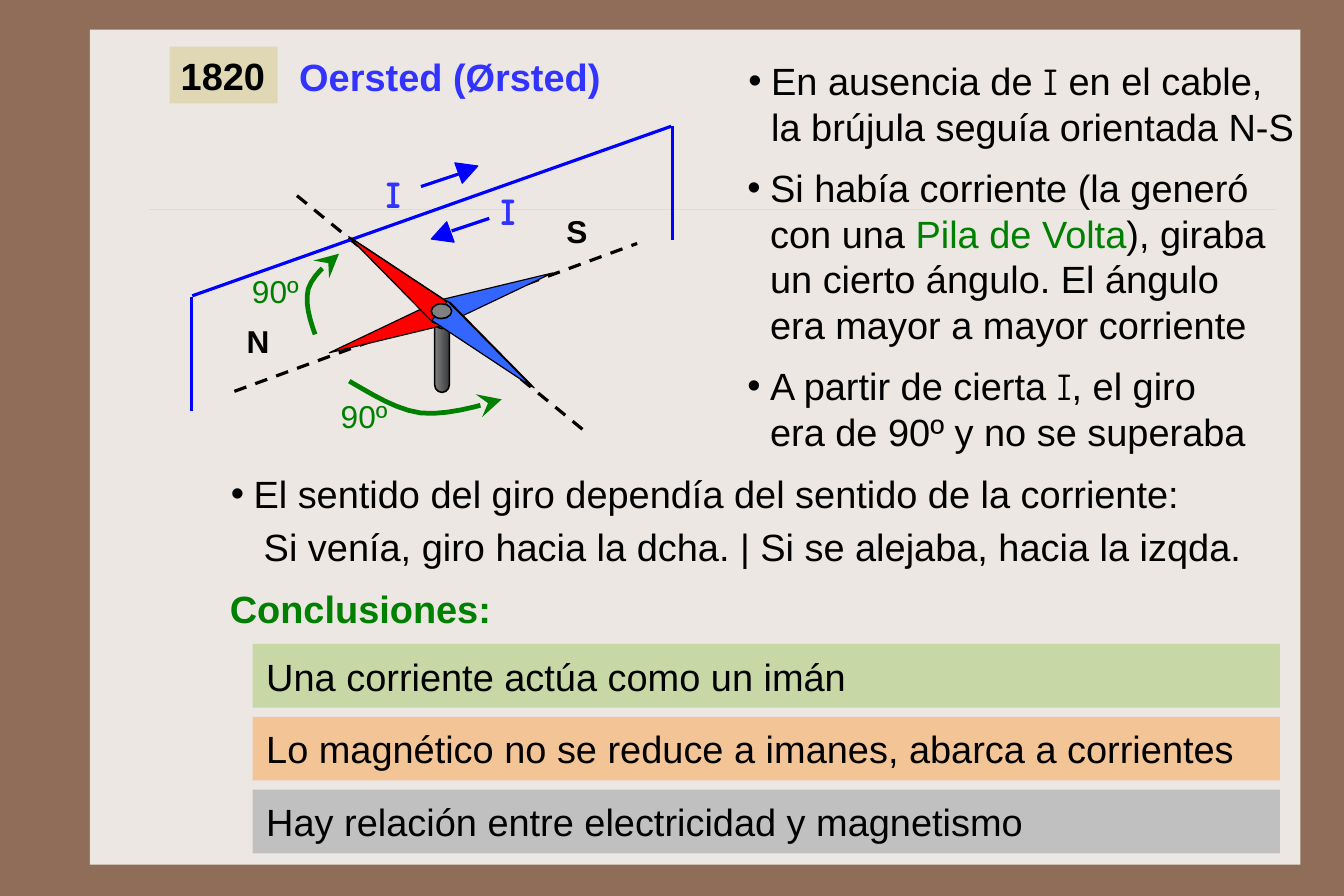
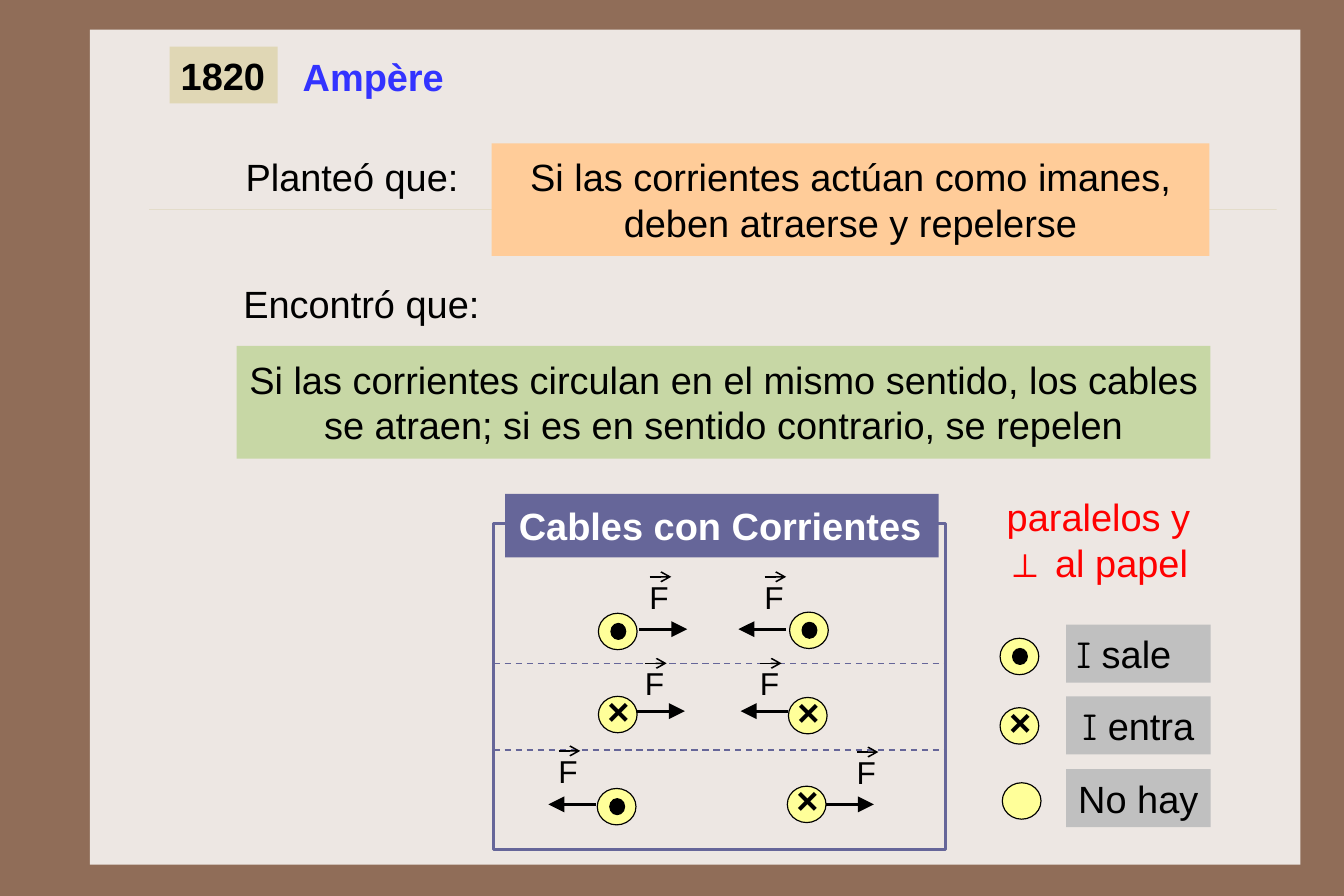
"""Build two slides on the 1820 experiments of Oersted and Ampère."""
import pptx
import pptx.util
import pptx.dml.color
import pptx.enum.dml
import pptx.enum.shapes
import pptx.enum.text
import pptx.oxml.ns
from lxml import etree

Inches = pptx.util.Inches
Pt = pptx.util.Pt
SHAPE = pptx.enum.shapes.MSO_SHAPE
ALIGN = pptx.enum.text.PP_ALIGN
ANCHOR = pptx.enum.text.MSO_ANCHOR

BROWN, PANEL, RULE, BADGE = "906D58", "EDE7E3", "CBBD83", "E0D7B5"
BLACK, WHITE, GRAY, SILVER = "000000", "FFFFFF", "808080", "C0C0C0"
TITLE, WIRE, GREEN, RED, BLUE = "3333FF", "0000FF", "008000", "FF0000", "3366FF"
LIME, ORANGE, PEACH, SLATE, YELLOW = "C7D7A5", "F3C495", "FFCC99", "666699", "FFFF99"
TEXT_FONT, CURRENT_FONT = "Arial", "Comic Neue"
CURRENT = ("I", CURRENT_FONT, None)
NORMAL, ROOMY, PADDED, SNUG = (0.1, 0.05), (0.1, 0.09), (0.12, 0.08), (0.09, 0.09)

OBSERVATIONS = [
    (6.48, 0.42, 5.11, 0.99, [["En ausencia de ", CURRENT, " en el cable,"],
                              ["la brújula seguía orientada N-S"]]),
    (6.47, 1.36, 4.91, 1.8, [["Si había corriente (la generó"],
                             ["con una ", ("Pila de Volta", TEXT_FONT, GREEN), "), giraba"],
                             ["un cierto ángulo. El ángulo"],
                             ["era mayor a mayor corriente"]]),
    (6.47, 3.1, 4.91, 0.99, [["A partir de cierta ", CURRENT, ", el giro"],
                             ["era de 90º y no se superaba"]]),
    (1.93, 4.05, 8.75, 0.59, [["El sentido del giro dependía del sentido de la corriente:"]]),
]
CONCLUSIONS = [
    ("Una corriente actúa como un imán", LIME),
    ("Lo magnético no se reduce a imanes, abarca a corrientes", ORANGE),
    ("Hay relación entre electricidad y magnetismo", SILVER),
]
COMPASS_AXES = [(2.61, 1.72, 5.14, 3.79), (2.06, 3.44, 5.6, 2.14)]
WIRES = [(1.69, 2.6, 5.9, 1.11), (1.68, 2.61, 1.68, 3.61), (5.91, 1.11, 5.91, 2.11)]
NEEDLES = [
    (3.28, 2.4, 250.5, RED), (4.25, 2.05, 70.5, BLUE),
    (4.18, 2.55, 129.5, RED), (3.38, 1.9, 309.5, BLUE),
    (3.36, 1.89, 309.5, RED), (4.16, 2.54, 129.5, BLUE),
]
POLES = [("N", 2.07, 2.78), ("S", 4.88, 1.81)]
CURRENT_ARROWS = [
    (3.29, 1.45, (4.02, 1.4, 70), (4.03, 1.53, 3.7, 1.64)),
    (4.3, 1.6, (3.78, 1.98, 250), (4.3, 1.92, 3.97, 2.03)),
]
TURNS = [
    (2.89, 3.55, [(3.07, 3.35), (3.28, 3.47), (3.48, 3.6), (3.7, 3.63),
                  (3.92, 3.65), (4.17, 3.58), (4.41, 3.51)]),
    (2.11, 2.45, [(2.77, 2.94), (2.72, 2.8), (2.68, 2.66), (2.71, 2.54),
                  (2.75, 2.42), (2.86, 2.33), (2.98, 2.23)]),
]

STATEMENTS = [
    ("Planteó que:", 2.06, 1.26, 2.15, 0.59, None),
    ("Si las corrientes actúan como imanes, deben atraerse y repelerse",
     4.32, 1.26, 6.31, 0.99, PEACH),
    ("Encontró que:", 2.04, 2.38, 2.28, 0.59, None),
    ("Si las corrientes circulan en el mismo sentido, los cables se atraen; "
     "si es en sentido contrario, se repelen", 2.08, 3.04, 8.56, 0.99, LIME),
]
CABLES = [
    ("dot", 5.26, 5.39, 5.62, 5.53, 1, 5.71, 5.07),
    ("dot", 6.94, 5.38, 6.91, 5.53, -1, 6.72, 5.07),
    ("cross", 5.26, 6.12, 5.6, 6.25, 1, 5.67, 5.83),
    ("cross", 6.93, 6.13, 6.93, 6.25, -1, 6.68, 5.83),
    ("dot", 5.25, 6.93, 5.24, 7.07, -1, 4.91, 6.6),
    ("cross", 6.92, 6.91, 7.26, 7.07, 1, 7.53, 6.61),
]
LEGEND = [
    ("dot", 8.79, 5.61, 5.49, [CURRENT, " sale"], ALIGN.LEFT),
    ("cross", 8.79, 6.22, 6.12, [CURRENT, " entra"], ALIGN.CENTER),
    ("empty", 8.81, 6.88, 6.76, ["No hay"], ALIGN.CENTER),
]


def color(value):
    return pptx.dml.color.RGBColor.from_string(value)


def add_element(parent, tag, **attributes):
    return etree.SubElement(parent, pptx.oxml.ns.qn(tag), **attributes)


def paint(shape, fill=None, line=None, width=0.75):
    if fill:
        shape.fill.solid()
        shape.fill.fore_color.rgb = color(fill)
    else:
        shape.fill.background()
    if line:
        shape.line.color.rgb = color(line)
        shape.line.width = Pt(width)
    else:
        shape.line.fill.background()


def add_figure(page, kind, x, y, w, h, fill=None, line=None, width=0.75, turn=0):
    figure = page.shapes.add_shape(kind, Inches(x), Inches(y), Inches(w), Inches(h))
    figure.shadow.inherit = False
    figure.rotation = turn
    paint(figure, fill, line, width)
    return figure


def add_head(line, head, size):
    add_element(line._get_or_add_ln(), "a:tailEnd", type=head, w=size, len=size)


def add_line(page, ends, tint, width, dashed=False, head=None, size="med"):
    connector = page.shapes.add_connector(
        pptx.enum.shapes.MSO_CONNECTOR.STRAIGHT, *[Inches(value) for value in ends])
    connector.line.color.rgb = color(tint)
    connector.line.width = Pt(width)
    if dashed:
        connector.line.dash_style = pptx.enum.dml.MSO_LINE.DASH
    if head:
        add_head(connector.line, head, size)
    add_element(connector.element.spPr, "a:effectLst")
    return connector


def set_font(font, size, tint, bold):
    font.name, font.size, font.bold = TEXT_FONT, Pt(size), bold
    font.color.rgb = color(tint)


def add_spans(para, spans):
    for span in spans:
        words, name, tint = span if isinstance(span, tuple) else (span, None, None)
        run = para.add_run()
        run.text = words
        if name:
            run.font.name = name
        if tint:
            run.font.color.rgb = color(tint)


def add_text(page, lines, x, y, w, h, size=24, tint=BLACK, bold=False, fill=None,
             align=ALIGN.LEFT, anchor=ANCHOR.TOP, insets=NORMAL, wrap=False,
             bullet=False, spacing=None):
    box = page.shapes.add_textbox(Inches(x), Inches(y), Inches(w), Inches(h))
    paint(box, fill)
    frame = box.text_frame
    frame.word_wrap, frame.vertical_anchor = wrap, anchor
    frame.margin_left = frame.margin_right = Inches(insets[0])
    frame.margin_top = frame.margin_bottom = Inches(insets[1])
    para = frame.paragraphs[0]
    para.alignment = align
    if spacing:
        para.line_spacing = Pt(spacing)
    if bullet:
        properties = para._p.get_or_add_pPr()
        properties.set("marL", str(Inches(0.2)))
        properties.set("indent", str(-Inches(0.2)))
        add_element(properties, "a:buFont", typeface=TEXT_FONT)
        add_element(properties, "a:buChar", char="•")
    set_font(para.font, size, tint, bold)
    for number, spans in enumerate(lines):
        if number:
            para.add_line_break()
        add_spans(para, spans)
    return box


def add_curve(page, points, tint, width, steps=6):
    path_points = [points[0]]
    for first in range(0, len(points) - 1, 3):
        a, b, c, d = points[first:first + 4]
        for step in range(1, steps + 1):
            t = step / steps
            u = 1 - t
            path_points.append(tuple(
                u ** 3 * a[i] + 3 * u * u * t * b[i] + 3 * u * t * t * c[i] + t ** 3 * d[i]
                for i in (0, 1)))
    corners = [(Inches(x), Inches(y)) for x, y in path_points]
    builder = page.shapes.build_freeform(*corners[0])
    builder.add_line_segments(corners[1:], close=False)
    curve = builder.convert_to_shape()
    curve.shadow.inherit = False
    paint(curve, None, tint, width)
    add_head(curve.line, "stealth", "lg")


def add_symbol(page, kind, x, y):
    add_figure(page, SHAPE.OVAL, x, y, 0.34, 0.32, YELLOW, BLACK)
    if kind == "dot":
        add_figure(page, SHAPE.OVAL, x + 0.11, y + 0.09, 0.13, 0.14, BLACK, BLACK)
    elif kind == "cross":
        add_text(page, [["×"]], x - 0.02, y - 0.13, 0.38, 0.5, bold=True)


def style_layout(layout, page):
    layout.background.fill.solid()
    layout.background.fill.fore_color.rgb = color(BROWN)
    panel = add_figure(page, SHAPE.RECTANGLE, 0.79, 0.26, 10.64, 7.34, PANEL)
    rule = add_line(page, (1.31, 1.84, 11.22, 1.84), RULE, 0.25)
    tint = rule.element.spPr.find(".//" + pptx.oxml.ns.qn("a:srgbClr"))
    add_element(tint, "a:alpha", val="40000")
    for position, part in enumerate((panel, rule), 2):
        layout.shapes.element.insert(position, part.element)


def add_heading(page, name, x, w):
    title = page.shapes.title
    title.left, title.top, title.width, title.height = [
        Inches(value) for value in (x, 0.42, w, 0.5)]
    frame = title.text_frame
    frame.text = name
    frame.auto_size = pptx.enum.text.MSO_AUTO_SIZE.NONE
    frame.word_wrap, frame.vertical_anchor = False, ANCHOR.TOP
    para = frame.paragraphs[0]
    para.alignment = ALIGN.LEFT
    set_font(para.font, 24, TITLE, True)
    add_text(page, [["1820"]], 1.49, 0.41, 0.95, 0.5, bold=True, fill=BADGE)


def draw_compass(page):
    post = add_figure(page, SHAPE.CAN, 3.82, 2.75, 0.13, 0.7, GRAY, BLACK, 1)
    post.adjustments[0] = 1.067
    post.fill.gradient()
    post.fill.gradient_angle = 0
    for stop, tint in zip(post.fill.gradient_stops, (GRAY, "3B3B3B")):
        stop.color.rgb = color(tint)
    for ends in COMPASS_AXES:
        add_line(page, ends, BLACK, 2, dashed=True)
    for ends in WIRES:
        add_line(page, ends, WIRE, 2)
    for x, y, turn, tint in NEEDLES:
        add_figure(page, SHAPE.ISOSCELES_TRIANGLE, x, y, 0.22, 1.05, tint, BLACK, turn=turn)
    add_figure(page, SHAPE.OVAL, 3.79, 2.67, 0.18, 0.13, GRAY, BLACK, 1)
    for pole, x, y in POLES:
        add_text(page, [[pole]], x, y, 0.4, 0.43, size=20, bold=True)
    for x, y, (tip_x, tip_y, turn), ends in CURRENT_ARROWS:
        add_text(page, [[CURRENT]], x, y, 0.38, 0.5, tint=TITLE, bold=True)
        add_figure(page, SHAPE.ISOSCELES_TRIANGLE, tip_x, tip_y, 0.19, 0.18, WIRE, WIRE,
                   turn=turn)
        add_line(page, ends, WIRE, 2)
    for x, y, points in TURNS:
        add_curve(page, points, GREEN, 3)
        add_text(page, [["90º"]], x, y, 0.62, 0.33, size=20, tint=GREEN,
                 align=ALIGN.CENTER, spacing=16)


def fill_oersted(page):
    add_heading(page, "Oersted (Ørsted)", 2.53, 2.88)
    draw_compass(page)
    for x, y, w, h, lines in OBSERVATIONS:
        add_text(page, lines, x, y, w, h, insets=ROOMY, wrap=True, bullet=True)
    add_text(page, [["Si venía, giro hacia la dcha. | Si se alejaba, hacia la izqda."]],
             2.22, 4.51, 9.03, 0.59, insets=ROOMY, wrap=True)
    add_text(page, [["Conclusiones:"]], 1.9, 5.07, 2.57, 0.56, tint=GREEN, bold=True,
             anchor=ANCHOR.MIDDLE, insets=PADDED, wrap=True)
    for row, (words, fill) in enumerate(CONCLUSIONS):
        add_text(page, [[words]], 2.22, 5.66 + 0.64 * row, 9.03, 0.56, fill=fill,
                 anchor=ANCHOR.MIDDLE, insets=PADDED, wrap=True)


def fill_ampere(page):
    add_heading(page, "Ampère", 2.56, 1.46)
    for words, x, y, w, h, fill in STATEMENTS:
        add_text(page, [[words]], x, y, w, h, fill=fill, insets=ROOMY, wrap=True,
                 align=ALIGN.CENTER if fill else ALIGN.LEFT)
    add_figure(page, SHAPE.RECTANGLE, 4.34, 4.6, 3.97, 2.87, None, SLATE, 2)
    for y in (5.83, 6.59):
        add_line(page, (4.34, y, 8.31, y), SLATE, 1, dashed=True)
    add_text(page, [["Cables con Corrientes"]], 4.44, 4.34, 3.81, 0.56, tint=WHITE, bold=True,
             fill=SLATE, anchor=ANCHOR.MIDDLE, insets=PADDED)
    for kind, x, y, force_x, force_y, way, label_x, label_y in CABLES:
        add_symbol(page, kind, x, y)
        add_line(page, (force_x, force_y, force_x + 0.42 * way, force_y), BLACK, 2,
                 head="triangle", size="lg")
        add_text(page, [["F"]], label_x - 0.1, label_y - 0.04, 0.37, 0.43, size=20)
        add_line(page, (label_x, label_y, label_x + 0.19, label_y), BLACK, 1, head="arrow")
    add_text(page, [["paralelos y"], ["⊥ al papel"]], 8.75, 4.25, 1.89, 0.99, tint=RED,
             insets=ROOMY, wrap=True)
    for kind, x, y, label_y, spans, align in LEGEND:
        add_symbol(page, kind, x, y)
        add_text(page, [spans], 9.37, label_y, 1.27, 0.51, fill=SILVER, align=align,
                 anchor=ANCHOR.MIDDLE, insets=SNUG)


def main():
    deck = pptx.Presentation()
    deck.slide_width, deck.slide_height = Inches(11.8125), Inches(7.875)
    layout = deck.slide_layouts[5]
    oersted, ampere = [deck.slides.add_slide(layout) for _ in range(2)]
    style_layout(layout, oersted)
    fill_oersted(oersted)
    fill_ampere(ampere)
    deck.save("out.pptx")


if __name__ == "__main__":
    main()
